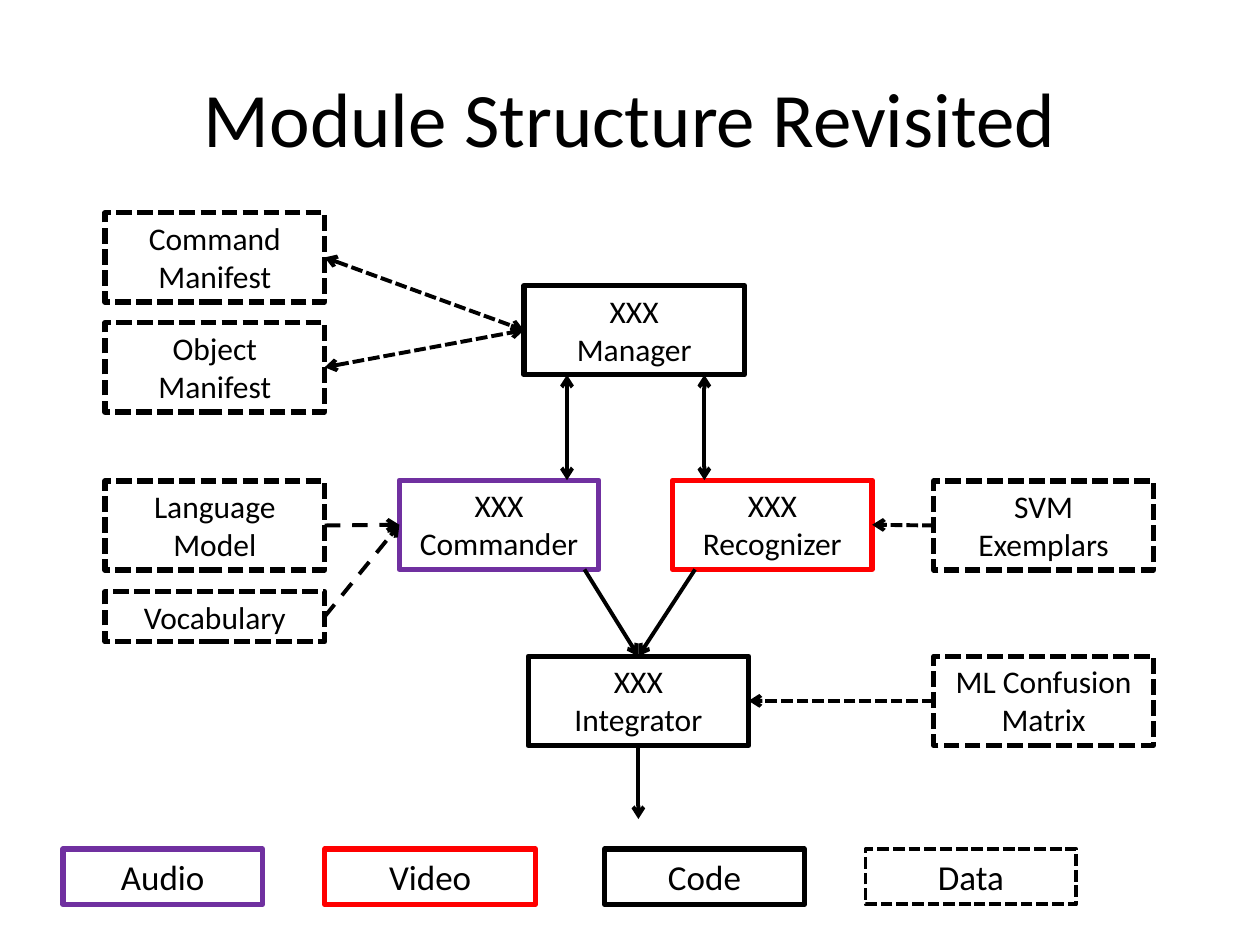
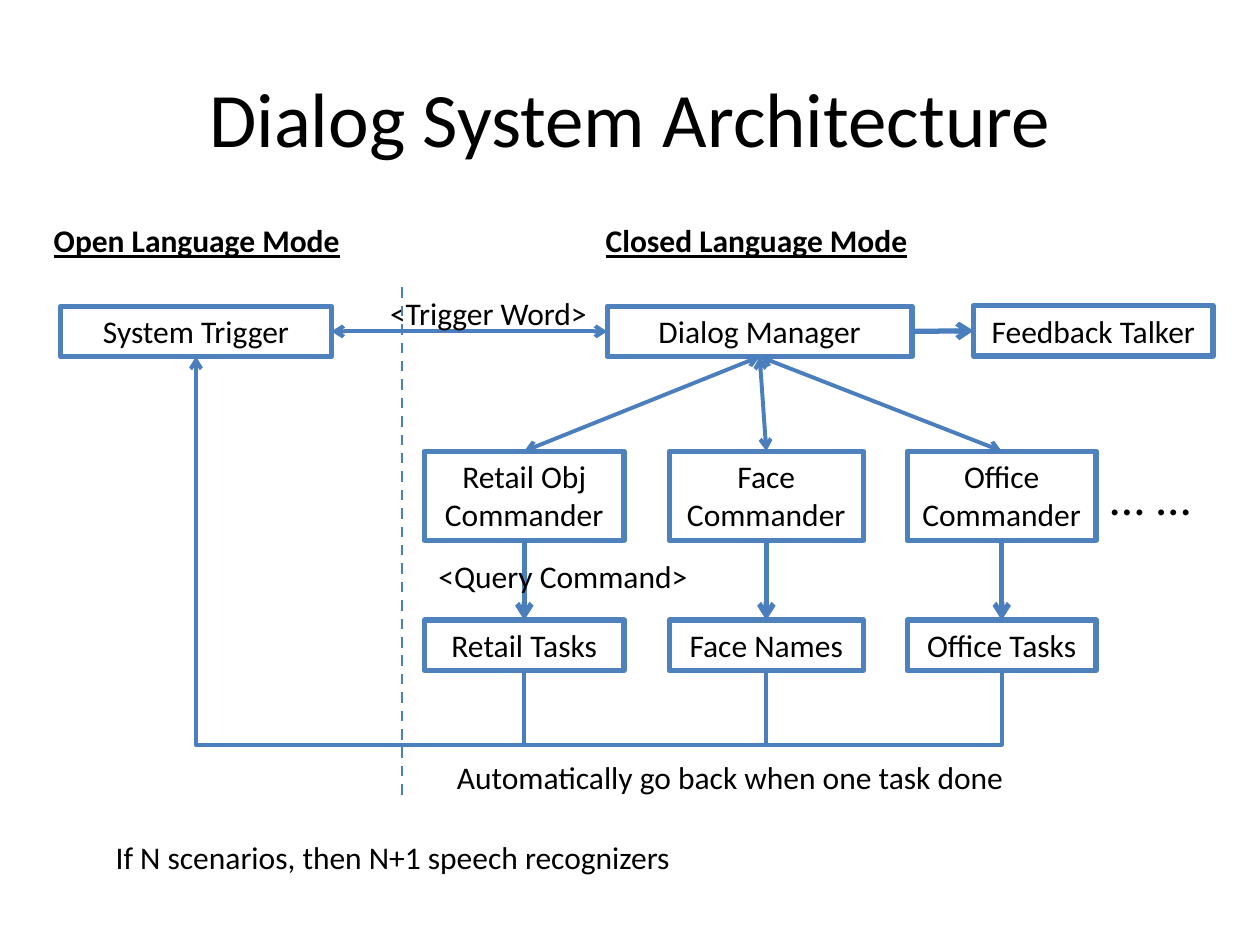
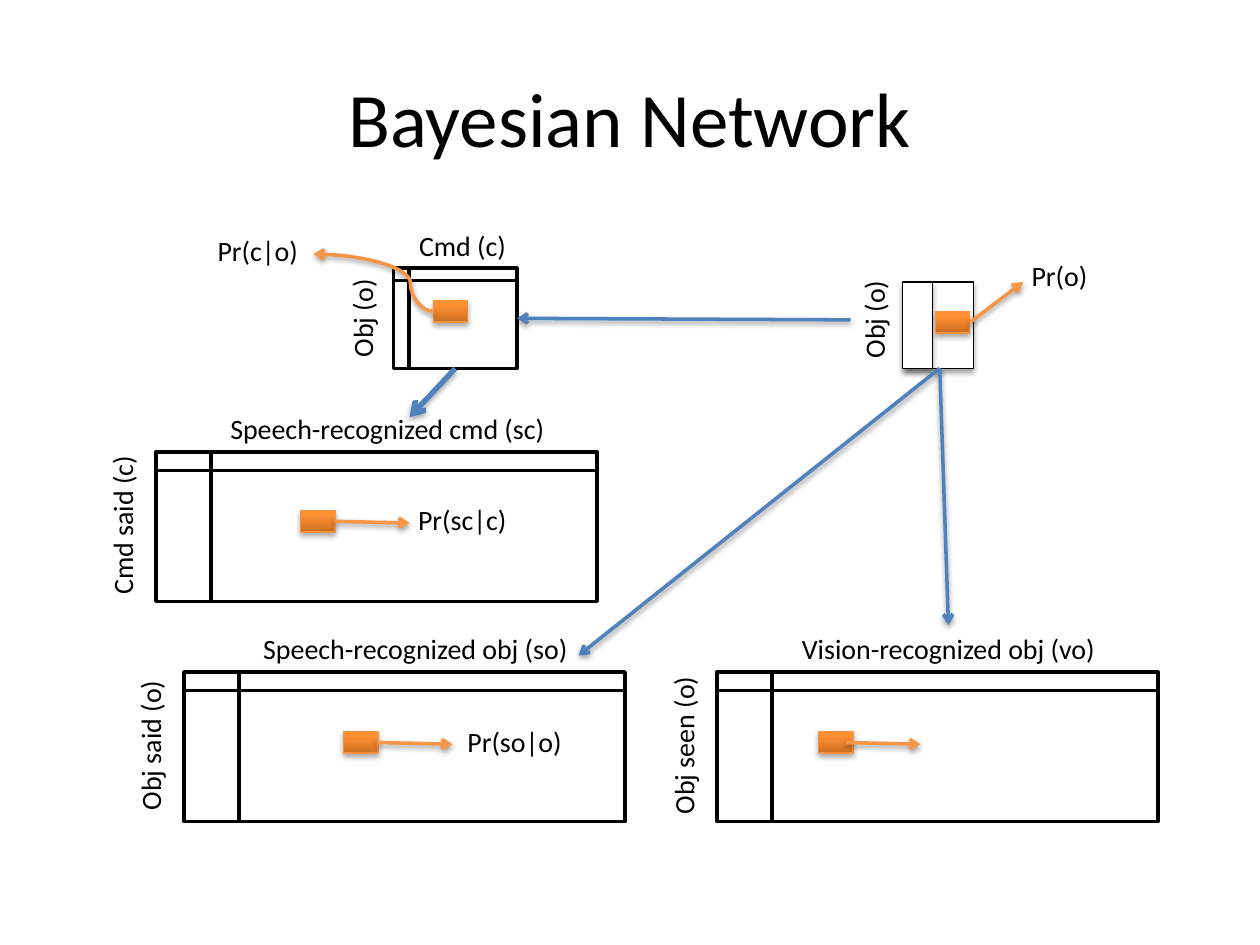
from dataclasses import dataclass
from typing import NamedTuple

from lxml.etree import SubElement
from pptx import Presentation
from pptx.dml.color import RGBColor
from pptx.enum.dml import MSO_LINE
from pptx.enum.shapes import MSO_CONNECTOR, MSO_SHAPE
from pptx.enum.text import MSO_ANCHOR, PP_ALIGN
from pptx.oxml.ns import qn
from pptx.util import Pt

FONT = "Calibri"
BLACK, WHITE = "000000", "FFFFFF"
PURPLE, RED = "7030A0", "FF0000"
BLUE, LINK_BLUE = "4F81BD", "4B7EBC"
ORANGE, ORANGE_EDGE = "F79646", "F69240"
ORANGE_DARK, ORANGE_LIGHT = "CC6E20", "FF9034"
SYS_DASH, DASH = MSO_LINE.SQUARE_DOT, MSO_LINE.DASH
ONE_LINE, TWO_LINES = 28.8, 51


class Point(NamedTuple):
    x: float
    y: float


class Shadow(NamedTuple):
    alpha: int
    blur: float
    distance: float


SHAPE_SHADOW = Shadow(35, 3.15, 1.81)
LINE_SHADOW = Shadow(38, 3.15, 1.57)


@dataclass
class Box:
    left: float
    top: float
    width: float
    height: float
    text: str = ""
    line: str = BLACK
    weight: float = 3
    dash: MSO_LINE | None = None
    fill: str | None = None
    size: float = 18
    shape: MSO_SHAPE = MSO_SHAPE.RECTANGLE
    shadow: Shadow | None = None

    @property
    def left_mid(self) -> Point:
        return Point(self.left, self.top + self.height / 2)

    @property
    def right_mid(self) -> Point:
        return Point(self.left + self.width, self.top + self.height / 2)

    @property
    def top_mid(self) -> Point:
        return Point(self.left + self.width / 2, self.top)

    @property
    def bottom_mid(self) -> Point:
        return Point(self.left + self.width / 2, self.top + self.height)


@dataclass
class Link:
    start: Point
    end: Point
    color: str = BLACK
    weight: float = 2.25
    dash: MSO_LINE | None = None
    head: bool = False
    tail: bool = True
    shadow: Shadow | None = None


@dataclass
class Panel:
    """A probability table with its axis labels and one marked cell."""
    left: float
    top: float
    columns: str
    rows: str
    cell: Point
    overlap: float = 0
    value: str = ""
    value_at: Point = Point(0, 0)


def rgb(color: str) -> RGBColor:
    return RGBColor.from_string(color)


def write(tf, text: str, size: float = 18, bold: bool = False,
          underline: bool = False, align=PP_ALIGN.LEFT) -> None:
    for i, line in enumerate(text.split("\n")):
        p = tf.paragraphs[0] if i == 0 else tf.add_paragraph()
        p.alignment = align
        r = p.add_run()
        r.text = line
        r.font.name, r.font.size = FONT, Pt(size)
        r.font.bold, r.font.underline = bold, underline
        r.font.color.rgb = rgb(BLACK)


def set_effects(sp, shadow: Shadow | None) -> None:
    """Replace the theme shadow; call after the fill and line are set."""
    spPr = sp._element.spPr
    effects = spPr.find(qn("a:effectLst"))
    if effects is None:
        effects = SubElement(spPr, qn("a:effectLst"))
    if shadow:
        outer = SubElement(effects, qn("a:outerShdw"), blurRad=str(Pt(shadow.blur)),
                           dist=str(Pt(shadow.distance)), dir="5400000", rotWithShape="0")
        color = SubElement(outer, qn("a:srgbClr"), val=BLACK)
        SubElement(color, qn("a:alpha"), val=str(shadow.alpha * 1000))


def draw_box(s, box: Box):
    sp = s.shapes.add_shape(box.shape, Pt(box.left), Pt(box.top), Pt(box.width), Pt(box.height))
    sp.shadow.inherit = False
    if box.fill:
        sp.fill.solid()
        sp.fill.fore_color.rgb = rgb(box.fill)
    else:
        sp.fill.background()
    sp.line.color.rgb = rgb(box.line)
    sp.line.width = Pt(box.weight)
    if box.dash:
        sp.line.dash_style = box.dash
    set_effects(sp, box.shadow)
    if box.text:
        tf = sp.text_frame
        tf.word_wrap, tf.vertical_anchor = True, MSO_ANCHOR.TOP
        write(tf, box.text, box.size, align=PP_ALIGN.CENTER)
    return sp


def format_link(cxn, link: Link) -> None:
    cxn.line.color.rgb = rgb(link.color)
    cxn.line.width = Pt(link.weight)
    if link.dash:
        cxn.line.dash_style = link.dash
    ln = cxn._element.spPr.find(qn("a:ln"))
    for tag, wanted in (("a:headEnd", link.head), ("a:tailEnd", link.tail)):
        if wanted:
            SubElement(ln, qn(tag), type="arrow")
    set_effects(cxn, link.shadow)


def draw_link(s, link: Link) -> None:
    cxn = s.shapes.add_connector(MSO_CONNECTOR.STRAIGHT, Pt(link.start.x), Pt(link.start.y),
                                 Pt(link.end.x), Pt(link.end.y))
    format_link(cxn, link)


def draw_routed(s, link: Link, preset: str, rotation: int, flip: bool = False,
                adjust: int | None = None) -> None:
    """Draw a bent or curved connector; a quarter turn swaps its frame's sides."""
    (x1, y1), (x2, y2) = link.start, link.end
    w, h = abs(x2 - x1), abs(y2 - y1)
    if rotation in (90, 270):
        w, h = h, w
    left, top = (x1 + x2 - w) / 2, (y1 + y2 - h) / 2
    cxn = s.shapes.add_connector(MSO_CONNECTOR.ELBOW, Pt(left), Pt(top), Pt(left + w), Pt(top + h))
    spPr = cxn._element.spPr
    xfrm, geom = spPr.find(qn("a:xfrm")), spPr.find(qn("a:prstGeom"))
    xfrm.set("rot", str(rotation * 60000))
    if flip:
        xfrm.set("flipV", "1")
    geom.set("prst", preset)
    if adjust is not None:
        SubElement(geom.find(qn("a:avLst")), qn("a:gd"), name="adj1", fmla=f"val {adjust}")
    format_link(cxn, link)


def add_text(s, left: float, top: float, width: float, height: float, text: str,
             rotation: int = 0, **format_args) -> None:
    sp = s.shapes.add_textbox(Pt(left), Pt(top), Pt(width), Pt(height))
    sp.rotation = rotation
    sp.text_frame.word_wrap = True
    write(sp.text_frame, text, **format_args)


def add_slide(prs, title: str):
    s = prs.slides.add_slide(prs.slide_layouts[5])
    sp = s.shapes.title
    sp.left, sp.top, sp.width, sp.height = Pt(36), Pt(21.6), Pt(648), Pt(90)
    sp.text_frame.vertical_anchor = MSO_ANCHOR.MIDDLE
    write(sp.text_frame, title, 44, align=PP_ALIGN.CENTER)
    return s


def module_structure(prs) -> None:
    s = add_slide(prs, "Module Structure Revisited")

    def data_box(left: float, top: float, text: str, height: float = TWO_LINES) -> Box:
        return Box(left, top, 125.5, height, text, dash=SYS_DASH)

    commander = Box(228.2, 274.4, 114, TWO_LINES, "XXX\nCommander", PURPLE)
    recognizer = Box(384.4, 274.4, 114, TWO_LINES, "XXX\nRecognizer", RED)
    manager = Box(299.4, 163.2, 126, TWO_LINES, "XXX\nManager")
    integrator = Box(301.8, 375, 126, TWO_LINES, "XXX\nIntegrator")
    commands = data_box(60, 121.6, "Command\nManifest")
    objects = data_box(60, 184.4, "Object\nManifest")
    language = data_box(60, 274.8, "Language Model")
    vocabulary = data_box(60, 338, "Vocabulary", ONE_LINE)
    exemplars = data_box(533.6, 274.8, "SVM Exemplars")
    confusion = data_box(533.6, 375, "ML Confusion Matrix")
    legend = [
        Box(36, 485.2, 114, 31.6, "Audio", PURPLE, size=20),
        Box(185.6, 485.2, 120.4, 31.6, "Video", RED, fill=WHITE, size=20),
        Box(345.6, 485.2, 114, 31.6, "Code", size=20),
        Box(494.6, 485.2, 120.4, 31.6, "Data", weight=2.25, dash=SYS_DASH, fill=WHITE, size=20),
    ]
    for box in [commander, recognizer, manager, integrator, commands, objects, language,
                vocabulary, exemplars, confusion, *legend]:
        draw_box(s, box)

    links = [Link(Point(x, commander.bottom_mid.y), integrator.top_mid) for x in (334, 397.2)]
    links += [Link(box.right_mid, commander.left_mid, dash=DASH) for box in (language, vocabulary)]
    links += [Link(box.right_mid, manager.left_mid, dash=SYS_DASH, head=True)
              for box in (commands, objects)]
    links += [Link(exemplars.left_mid, recognizer.right_mid, dash=SYS_DASH),
              Link(confusion.left_mid, integrator.right_mid, dash=SYS_DASH)]
    links += [Link(Point(x, commander.top), Point(x, manager.bottom_mid.y), head=True)
              for x in (324, 402.5)]
    links.append(Link(integrator.bottom_mid, Point(integrator.bottom_mid.x, 468)))
    for link in links:
        draw_link(s, link)


def dialog_system(prs) -> None:
    s = add_slide(prs, "Dialog System Architecture")
    return_y = 425.6

    def node(left: float, top: float, width: float, text: str, height: float = ONE_LINE) -> Box:
        box = Box(left, top, width, height, text, BLUE, fill=WHITE)
        draw_box(s, box)
        return box

    manager = node(347, 175, 174.2, "Dialog Manager")
    trigger = node(34.6, 175, 154.8, "System Trigger")
    feedback = node(556.4, 174.6, 136.8, "Feedback Talker")
    draw_link(s, Link(manager.left_mid, trigger.right_mid, LINK_BLUE, head=True))
    draw_link(s, Link(manager.right_mid, feedback.left_mid, LINK_BLUE, 3))

    scenarios = [
        (242.6, 114, "Retail Obj\nCommander", "Retail Tasks", 164.2),
        (382.4, 111, "Face\nCommander", "Face Names", 293.8),
        (518.4, 108, "Office Commander", "Office Tasks", 433.4),
    ]
    for left, width, commander_text, task_text, return_x in scenarios:
        commander = node(left, 257.8, width, commander_text, TWO_LINES)
        task = node(left, 354.4, width, task_text)
        draw_link(s, Link(manager.bottom_mid, commander.top_mid, LINK_BLUE, head=True))
        draw_link(s, Link(commander.bottom_mid, task.top_mid, LINK_BLUE, 3))
        draw_routed(s, Link(task.bottom_mid, Point(return_x, return_y), LINK_BLUE, tail=False),
                    "bentConnector2", 90)
    draw_routed(s, Link(Point(164.2, return_y), trigger.bottom_mid, LINK_BLUE),
                "bentConnector3", 270, flip=True, adjust=-100)

    add_text(s, 215.8, 164.4, 141, ONE_LINE, "<Trigger Word>")
    draw_link(s, Link(Point(229.8, 164.2), Point(229.8, 458), LINK_BLUE, 1.5, DASH, tail=False))
    add_text(s, 23.6, 123, 188.6, ONE_LINE, "Open Language Mode", bold=True, underline=True)
    add_text(s, 339, 123, 198, ONE_LINE, "Closed Language Mode", bold=True, underline=True)
    add_text(s, 254, 429.4, 336.2, ONE_LINE, "Automatically go back when one task done")
    add_text(s, 243.4, 315, 167.8, ONE_LINE, "<Query Command>")
    add_text(s, 626.4, 262.8, 66.2, 41, "... …", size=28)
    add_text(s, 59, 475.2, 375.8, 33, "If N scenarios, then N+1 speech recognizers")


def bayesian_network(prs) -> None:
    s = add_slide(prs, "Bayesian Network")

    def label(left: float, top: float, width: float, text: str, align=PP_ALIGN.LEFT) -> None:
        add_text(s, left, top, width, 23.8, text, size=16, align=align)

    def row_label(left: float, top: float, width: float, text: str) -> None:
        add_text(s, left, top, width, 26.6, text, rotation=270, size=16, align=PP_ALIGN.CENTER)

    def grid(left: float, top: float, width: float, height: float) -> Box:
        box = Box(left, top, width, height, weight=2, fill=WHITE,
                  shape=MSO_SHAPE.FLOWCHART_INTERNAL_STORAGE)
        draw_box(s, box)
        return box

    def marked_cell(at: Point) -> Box:
        box = Box(at.x, at.y, 19.6, 12.2, line=ORANGE_EDGE, weight=0.75, shadow=SHAPE_SHADOW)
        fill = draw_box(s, box).fill
        fill.gradient()
        fill.gradient_angle = 90
        for stop, color, position in zip(fill.gradient_stops, (ORANGE_DARK, ORANGE_LIGHT), (0, 0.8)):
            stop.color.rgb = rgb(color)
            stop.position = position
        return box

    def arrow(start: Point, end: Point, color: str = BLUE, weight: float = 2) -> None:
        shadow = SHAPE_SHADOW if weight > 2 else LINE_SHADOW
        draw_link(s, Link(start, end, color, weight, shadow=shadow))

    command = grid(224.8, 153.2, 70.6, 57.4)
    label(196.6, 126.8, 135.4, "Cmd (c)", PP_ALIGN.CENTER)
    row_label(165.6, 168.6, 82.8, "Obj (o)")
    for left, width in ((517.6, 38.8), (515.6, 17.4)):
        draw_box(s, Box(left, 161.2, width, 49.6, weight=0.75, fill=WHITE, shadow=SHAPE_SHADOW))
    row_label(458, 169.2, 82.8, "Obj (o)")

    object_foot = Point(537, 210.5)
    arrow(Point(486, 182.8), command.right_mid)
    arrow(command.bottom_mid, Point(234, 238.4), weight=3)
    arrow(object_foot, Point(330.6, 374.6))
    arrow(object_foot, Point(542, 357.2))

    command_cell = marked_cell(Point(247.6, 171.8))
    object_cell = marked_cell(Point(534.6, 178.2))
    draw_routed(s, Link(command_cell.left_mid, Point(179.2, 145.2), ORANGE, 2, shadow=LINE_SHADOW),
                "curvedConnector3", 180, adjust=19200)
    arrow(object_cell.right_mid, Point(584.6, 161.2), ORANGE)
    label(117.2, 129.8, 82.8, "Pr(c|o)")
    label(582.4, 144, 82.8, "Pr(o)")

    panels = [
        Panel(89.2, 258.2, "Speech-recognized cmd (sc)", "Cmd said (c)", Point(171.8, 291.8),
              value="Pr(sc|c)", value_at=Point(231.8, 283.8)),
        Panel(105.2, 384, "Speech-recognized obj (so)", "Obj said (o)", Point(196.4, 418.2),
              value="Pr(so|o)", value_at=Point(260, 410.6)),
        Panel(409.8, 384, "Vision-recognized obj (vo)", "Obj seen (o)", Point(467.8, 418.2),
              overlap=4),
    ]
    for panel in panels:
        grid(panel.left, panel.top, 252, 85.4)
        label(panel.left - 19.4, panel.top - 26.6, 303.2, panel.columns, PP_ALIGN.CENTER)
        row_label(panel.left - 70.4, panel.top + 28.6, 102.2, panel.rows)
        start = marked_cell(panel.cell).right_mid
        start = Point(start.x - panel.overlap, start.y)
        arrow(start, Point(start.x + 42.6, start.y + 1), ORANGE)
        if panel.value:
            label(*panel.value_at, 95, panel.value)


def main() -> None:
    prs = Presentation()
    prs.slide_width, prs.slide_height = Pt(720), Pt(540)
    module_structure(prs)
    dialog_system(prs)
    bayesian_network(prs)
    prs.save("out.pptx")


if __name__ == "__main__":
    main()
